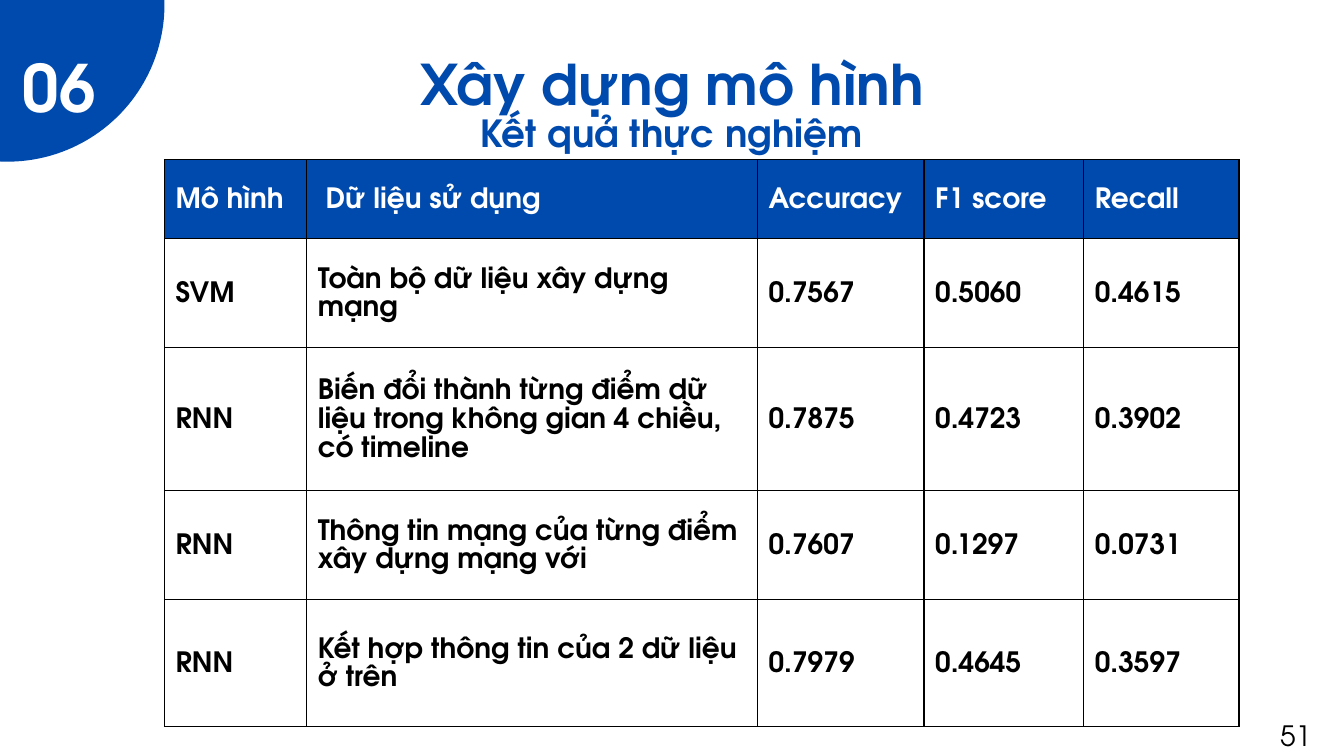
from dataclasses import dataclass

from lxml import etree
from pptx import Presentation
from pptx import util as u
from pptx.dml.color import RGBColor
from pptx.enum import shapes, text
from pptx.oxml import ns

PX = 9525  # EMU per px, 96 px to the inch


@dataclass(frozen=True)
class Theme:
    font: str = "TeX Gyre Adventor"
    blue: str = "004AAD"
    white: str = "FFFFFF"
    black: str = "000000"
    title: int = 60
    subtitle: int = 40
    section: int = 70
    body: int = 30
    border: float = 1.5


theme = Theme()


def write(tf, words, size, color, bold=True, align=text.PP_ALIGN.CENTER,
          spacing=1.4, inset=0):
    """Fill a text frame or table cell's frame with one formatted run."""
    tf.word_wrap = True
    tf.margin_left = tf.margin_top = tf.margin_right = tf.margin_bottom = inset * PX
    p = tf.paragraphs[0]
    p.alignment, p.line_spacing = align, spacing
    p.space_before = p.space_after = u.Pt(0)
    r = p.add_run()
    r.text = words
    r.font.name, r.font.size, r.font.bold = theme.font, u.Pt(size), bold
    r.font.color.rgb = RGBColor.from_string(color)


def add_borders(cell):
    tc_pr = cell._tc.get_or_add_tcPr()
    for i, side in enumerate(("lnL", "lnR", "lnT", "lnB")):
        ln = etree.Element(ns.qn(f"a:{side}"), w=str(u.Pt(theme.border)))
        fill = etree.SubElement(ln, ns.qn("a:solidFill"))
        etree.SubElement(fill, ns.qn("a:srgbClr"), val=theme.black)
        tc_pr.insert(i, ln)


prs = Presentation()
prs.slide_width, prs.slide_height = 1920 * PX, 1080 * PX
s = prs.slides.add_slide(prs.slide_layouts[0])

# Corner circle
circle = s.shapes.add_shape(shapes.MSO_SHAPE.OVAL,
                            -214 * PX, -218 * PX, 449 * PX, 449 * PX)
circle.shadow.inherit = False
circle.fill.solid()
circle.fill.fore_color.rgb = RGBColor.from_string(theme.blue)
circle.line.fill.background()

# Results table
rows = [
    ("Mô hình", " Dữ liệu sử dụng", "Accuracy", "F1 score", "Recall"),
    ("SVM", "Toàn bộ dữ liệu xây dựng mạng", "0.7567", "0.5060", "0.4615"),
    ("RNN", "Biến đổi thành từng điểm dữ liệu trong không gian 4 chiều, có timeline",
     "0.7875", "0.4723", "0.3902"),
    ("RNN", "Thông tin mạng của từng điểm xây dựng mạng với",
     "0.7607", "0.1297", "0.0731"),
    ("RNN", "Kết hợp thông tin của 2 dữ liệu ở trên", "0.7979", "0.4645", "0.3597"),
]
widths = (203, 644, 238, 228, 222)
heights = (113, 156, 204, 156, 181)

table = s.shapes.add_table(len(rows), len(widths), 235 * PX, 228 * PX,
                           sum(widths) * PX, sum(heights) * PX).table
table.horz_banding = False
for col, width in zip(table.columns, widths):
    col.width = width * PX
for row, height in zip(table.rows, heights):
    row.height = height * PX

for i, row in enumerate(rows):
    for j, words in enumerate(row):
        cell = table.cell(i, j)
        cell.vertical_anchor = text.MSO_ANCHOR.MIDDLE
        cell.margin_left = cell.margin_right = 16 * PX
        cell.margin_top = cell.margin_bottom = 16 * PX
        if i == 0:
            cell.fill.solid()
            cell.fill.fore_color.rgb = RGBColor.from_string(theme.blue)
        else:
            cell.fill.background()
        write(cell.text_frame, words, theme.body,
              theme.white if i == 0 else theme.black,
              align=text.PP_ALIGN.LEFT, spacing=1.11, inset=16)
        add_borders(cell)

# Headings, section number and page number
title, subtitle = s.shapes.title, s.placeholders[1]
section = s.shapes.add_textbox(0, 0, 0, 0)
page = s.shapes.add_textbox(0, 0, 0, 0)
labels = [
    (section, (-17, 22, 204, 126), "06", theme.section, theme.white, True),
    (subtitle, (304, 132, 1311, 70), "Kết quả thực nghiệm",
     theme.subtitle, theme.blue, True),
    (page, (1812, 1007, 78, 54), "51", theme.body, theme.black, False),
    (title, (463, 32, 995, 108), "Xây dựng mô hình",
     theme.title, theme.blue, True),
]
for sp, box, words, size, color, bold in labels:
    sp.left, sp.top, sp.width, sp.height = (n * PX for n in box)
    tf = sp.text_frame
    tf.vertical_anchor = text.MSO_ANCHOR.TOP
    tf.auto_size = text.MSO_AUTO_SIZE.SHAPE_TO_FIT_TEXT
    write(tf, words, size, color, bold)

prs.save("out.pptx")
